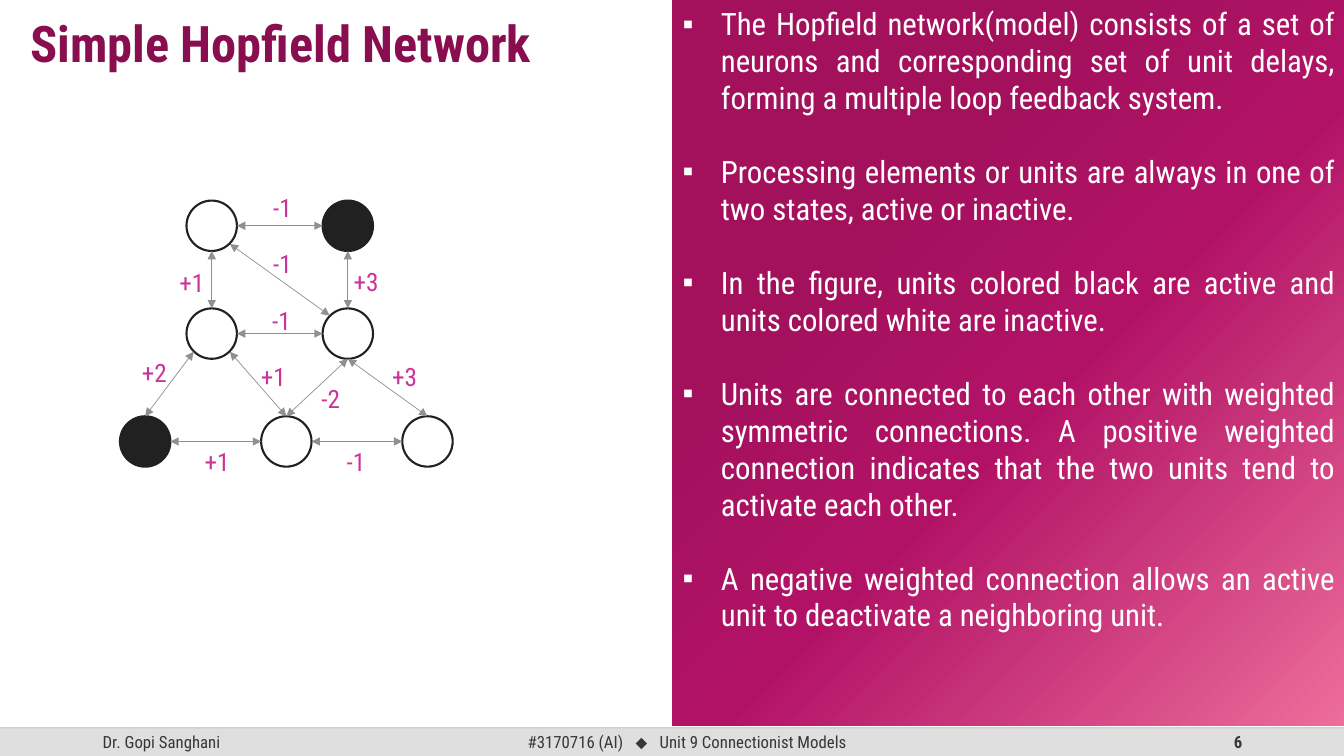
from dataclasses import dataclass
from math import sqrt
from typing import NamedTuple

from lxml import etree
from pptx import Presentation
from pptx import util as u
from pptx.dml.color import RGBColor
from pptx.enum import shapes, text
from pptx.oxml import ns

PX = 9144  # EMU in one px: 100 px to the inch


@dataclass(frozen=True)
class Theme:
    font: str = "Roboto Condensed"
    symbol_font: str = "Arial"
    ink: str = "212121"
    arrow: str = "909090"
    weight: str = "CC3399"
    white: str = "FFFFFF"
    footer_fill: str = "DFDFDF"
    footer_line: str = "BFBFBF"
    footer_text: str = "373737"
    title_gradient: tuple = ((0.1, "890E4F"), (1.0, "D81A60"))
    panel_gradient: tuple = ((30, "A3115D"), (55, "B21266"), (100, "ED6D9B"))
    title_size: float = 36
    body_size: float = 22
    weight_size: float = 18
    footer_size: float = 12
    body_gap: float = 26.4


class Box(NamedTuple):
    left: int
    top: int
    width: int
    height: int


class Unit(NamedTuple):
    x: int
    y: int
    active: bool = False


class Link(NamedTuple):
    start: str
    start_side: str
    end: str
    end_side: str
    weight: str
    label_left: int
    label_top: int


THEME = Theme()
WIDTH, HEIGHT = 1333, 750
FOOTER_TOP, FOOTER_HEIGHT = 722, 28
RADIUS = 25
DIAGONAL = round(RADIUS / sqrt(2))
SIDES = {
    "top": (0, -RADIUS), "bottom": (0, RADIUS),
    "left": (-RADIUS, 0), "right": (RADIUS, 0),
    "lower left": (-DIAGONAL, DIAGONAL), "lower right": (DIAGONAL, DIAGONAL),
    "upper left": (-DIAGONAL, -DIAGONAL),
}
UNITS = {
    "A": Unit(210, 224), "B": Unit(345, 224, True),
    "C": Unit(210, 331), "D": Unit(345, 331),
    "E": Unit(144, 438, True), "F": Unit(284, 438), "G": Unit(424, 438),
}
LINKS = [
    Link("A", "right", "B", "left", "-1", 261, 186),
    Link("C", "right", "D", "left", "-1", 260, 298),
    Link("E", "right", "F", "left", "+1", 193, 438),
    Link("F", "right", "G", "left", "-1", 334, 438),
    Link("A", "bottom", "C", "top", "+1", 168, 260),
    Link("B", "bottom", "D", "top", "+3", 341, 259),
    Link("C", "lower left", "E", "top", "+2", 131, 350),
    Link("C", "lower right", "F", "top", "+1", 249, 354),
    Link("D", "bottom", "F", "top", "-2", 309, 375),
    Link("D", "bottom", "G", "top", "+3", 379, 354),
    Link("A", "lower right", "D", "upper left", "-1", 261, 241),
]
POINTS = [
    "The Hopfield network(model) consists of a set of neurons and corresponding set of unit delays, forming a multiple loop feedback system.",
    "Processing elements or units are always in one of two states, active or inactive.",
    "In the figure, units colored black are active and units colored white are inactive.",
    "Units are connected to each other with weighted symmetric connections. A positive weighted connection indicates that the two units tend to activate each other.",
    "A negative weighted connection allows an active unit to deactivate a neighboring unit.",
]


def color(value: str) -> RGBColor:
    return RGBColor.from_string(value)


def child(parent, tag: str, **attributes):
    return etree.SubElement(parent, ns.qn(tag), attributes)


def place(shape, box: Box) -> None:
    shape.left, shape.top, shape.width, shape.height = (side * PX for side in box)


def add_run(paragraph, words: str, size: float, fill: str, font: str = THEME.font, bold: bool = False):
    run = paragraph.add_run()
    run.text = words
    run.font.name, run.font.size, run.font.bold = font, u.Pt(size), bold
    run.font.color.rgb = color(fill)
    return run


def add_line(slide, start: tuple, end: tuple, fill: str, width: float):
    line = slide.shapes.add_connector(
        shapes.MSO_CONNECTOR.STRAIGHT, *(value * PX for value in (*start, *end)))
    line.line.color.rgb, line.line.width = color(fill), u.Pt(width)
    child(line._element.spPr, "a:effectLst")
    return line


def add_footer_text(slide, box: Box, align):
    frame = slide.shapes.add_textbox(*(side * PX for side in box)).text_frame
    frame.word_wrap, frame.vertical_anchor = True, text.MSO_ANCHOR.MIDDLE
    frame.paragraphs[0].alignment = align
    return frame.paragraphs[0]


def add_footer(slide) -> None:
    bar = slide.shapes.add_shape(
        shapes.MSO_SHAPE.RECTANGLE, 0, FOOTER_TOP * PX, WIDTH * PX, FOOTER_HEIGHT * PX)
    bar.shadow.inherit = False
    bar.fill.solid()
    bar.fill.fore_color.rgb = color(THEME.footer_fill)
    bar.line.fill.background()

    size, ink = THEME.footer_size, THEME.footer_text
    author = add_footer_text(slide, Box(92, FOOTER_TOP, 300, FOOTER_HEIGHT), text.PP_ALIGN.LEFT)
    add_run(author, "Dr. Gopi Sanghani", size, ink)
    course = add_footer_text(slide, Box(442, FOOTER_TOP, 479, FOOTER_HEIGHT), text.PP_ALIGN.CENTER)
    for words in ("#3170716 (AI)", " ", "⬥", " ", "Unit 9 Connectionist Models"):
        font = THEME.symbol_font if words == "⬥" else THEME.font
        run = add_run(course, words, size, ink, font)
        if words == " ":
            run.font._element.set("spc", "600")
    number = add_footer_text(slide, Box(942, FOOTER_TOP, 300, FOOTER_HEIGHT), text.PP_ALIGN.RIGHT)
    add_run(number, "6", size, ink, bold=True)

    border = add_line(slide, (0, FOOTER_TOP), (WIDTH, FOOTER_TOP), THEME.footer_line, 1)
    child(border._element.find(".//" + ns.qn("a:srgbClr")), "a:alpha", val="70000")


def fill_title(title) -> None:
    place(title, Box(0, 13, 667, 65))
    frame = title.text_frame
    frame.word_wrap, frame.vertical_anchor = True, text.MSO_ANCHOR.MIDDLE
    frame.auto_size = text.MSO_AUTO_SIZE.SHAPE_TO_FIT_TEXT
    frame.margin_left = 30 * PX
    paragraph = frame.paragraphs[0]
    paragraph.alignment, paragraph.line_spacing = text.PP_ALIGN.LEFT, 0.9
    run = add_run(paragraph, "Simple Hopfield Network", THEME.title_size, THEME.ink, bold=True)
    run.font.fill.gradient()
    run.font.fill.gradient_angle = 0
    for stop, (position, value) in zip(run.font.fill.gradient_stops, THEME.title_gradient):
        stop.position, stop.color.rgb = position, color(value)


def fill_panel(panel) -> None:
    place(panel, Box(667, 0, 667, 720))
    gradient = child(panel._element.spPr, "a:gradFill", rotWithShape="1")
    stops = child(gradient, "a:gsLst")
    for position, value in THEME.panel_gradient:
        child(child(stops, "a:gs", pos=str(position * 1000)), "a:srgbClr", val=value)
    focus = child(gradient, "a:path", path="circle")
    child(focus, "a:fillToRect", r="100000", b="100000")

    frame = panel.text_frame
    frame.auto_size, frame.vertical_anchor = text.MSO_AUTO_SIZE.NONE, text.MSO_ANCHOR.TOP
    for index, point in enumerate(POINTS):
        paragraph = frame.add_paragraph() if index else frame.paragraphs[0]
        properties = paragraph._p.get_or_add_pPr()
        properties.set("marL", str(38 * PX))
        properties.set("indent", str(-38 * PX))
        child(properties, "a:buFont", typeface=THEME.symbol_font)
        child(properties, "a:buChar", char="▪")
        paragraph.alignment = text.PP_ALIGN.JUSTIFY
        paragraph.space_before = u.Pt(THEME.body_gap if index else 0)
        add_run(paragraph, point, THEME.body_size, THEME.white)


def add_unit(slide, unit: Unit) -> None:
    circle = slide.shapes.add_shape(
        shapes.MSO_SHAPE.OVAL, (unit.x - RADIUS) * PX, (unit.y - RADIUS) * PX,
        2 * RADIUS * PX, 2 * RADIUS * PX)
    circle.shadow.inherit = False
    circle.line.color.rgb, circle.line.width = color(THEME.ink), u.Pt(1.5)
    if unit.active:
        circle.fill.solid()
        circle.fill.fore_color.rgb = color(THEME.ink)
    else:
        circle.fill.background()


def add_link(slide, link: Link) -> None:
    ends = [(UNITS[name].x + SIDES[side][0], UNITS[name].y + SIDES[side][1])
            for name, side in ((link.start, link.start_side), (link.end, link.end_side))]
    arrow = add_line(slide, *ends, THEME.arrow, 0.5)
    for tag in ("a:headEnd", "a:tailEnd"):
        child(arrow.line._get_or_add_ln(), tag, type="triangle")
    width = 39 if link.weight.startswith("-") else 45
    label = slide.shapes.add_textbox(link.label_left * PX, link.label_top * PX, width * PX, 40 * PX)
    label.text_frame.word_wrap = False
    label.text_frame.auto_size = text.MSO_AUTO_SIZE.SHAPE_TO_FIT_TEXT
    add_run(label.text_frame.paragraphs[0], link.weight, THEME.weight_size, THEME.weight)


def main() -> None:
    presentation = Presentation()
    presentation.slide_width, presentation.slide_height = WIDTH * PX, HEIGHT * PX
    slide = presentation.slides.add_slide(presentation.slide_layouts[1])
    add_footer(slide)
    fill_panel(slide.placeholders[1])
    fill_title(slide.shapes.title)
    for unit in UNITS.values():
        add_unit(slide, unit)
    for link in LINKS:
        add_link(slide, link)
    presentation.save("out.pptx")


if __name__ == "__main__":
    main()
